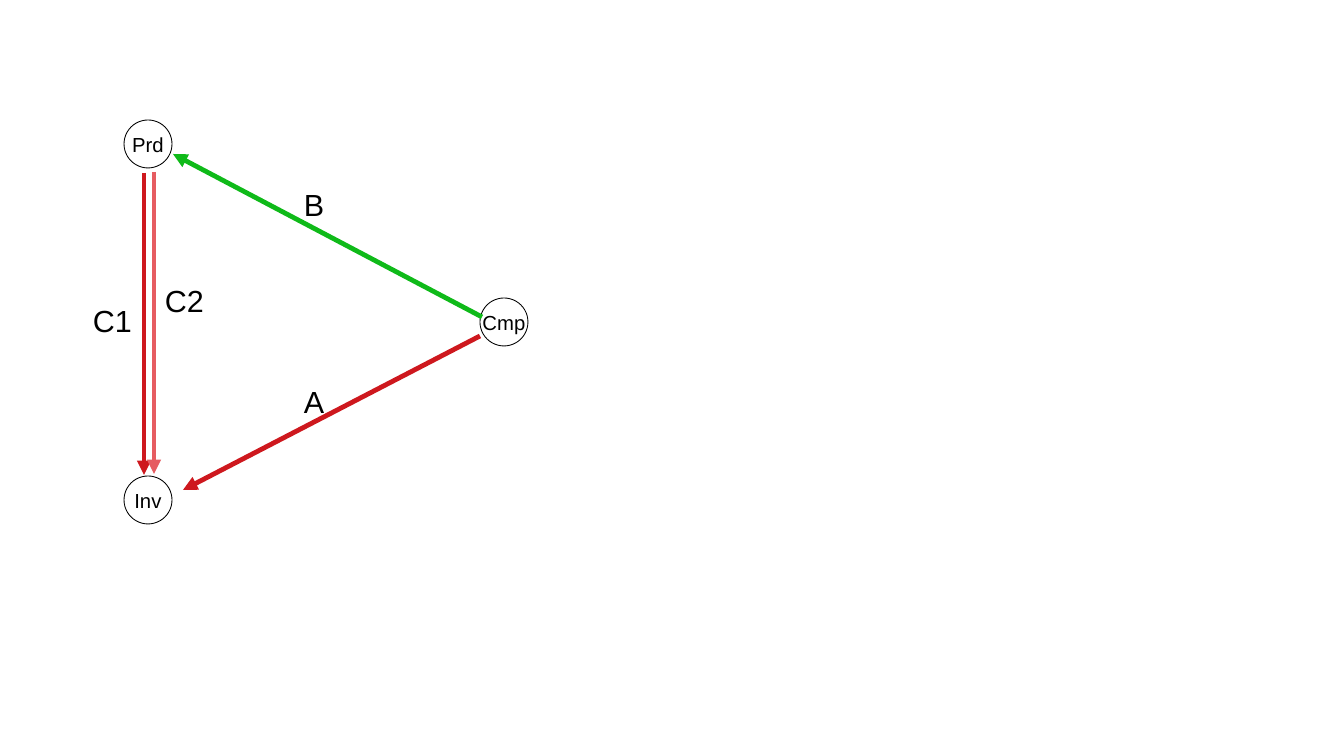
"""Builds a slide with a three-node graph of labelled arrows."""
from dataclasses import dataclass

from lxml.etree import SubElement
from pptx import Presentation
from pptx.dml.color import RGBColor
from pptx.enum.shapes import MSO_CONNECTOR, MSO_SHAPE
from pptx.enum.text import MSO_ANCHOR, MSO_AUTO_SIZE, PP_ALIGN
from pptx.oxml.ns import qn
from pptx.util import Pt

EMU_PER_PX = 914400 / 122


@dataclass(frozen=True)
class Theme:
    font: str = "Arial"
    ink: str = "000000"
    red: str = "CE181E"
    light_red: str = "E65C61"
    green: str = "0FBA19"
    node_size: int = 12
    label_size: int = 18
    outline: float = 0.5
    arrow: float = 2.83


def px(*lengths):
    return [round(length * EMU_PER_PX) for length in lengths]


class GraphSlide:
    def __init__(self, slide, theme):
        self.shapes = slide.shapes
        self.theme = theme

    def add_wording(self, frame, wording, size, align):
        frame.word_wrap = False
        paragraph = frame.paragraphs[0]
        paragraph.alignment = align
        run = paragraph.add_run()
        run.text = wording
        run.font.name = self.theme.font
        run.font.size = Pt(size)
        run.font.color.rgb = RGBColor.from_string(self.theme.ink)

    def node(self, name, left, top, diameter=48):
        circle = self.shapes.add_shape(
            MSO_SHAPE.OVAL, *px(left, top, diameter, diameter))
        circle.shadow.inherit = False
        circle.fill.background()
        circle.line.color.rgb = RGBColor.from_string(self.theme.ink)
        circle.line.width = Pt(self.theme.outline)
        circle.text_frame.vertical_anchor = MSO_ANCHOR.MIDDLE
        self.add_wording(
            circle.text_frame, name, self.theme.node_size, PP_ALIGN.CENTER)

    def arrow(self, start, end, color):
        edge = self.shapes.add_connector(
            MSO_CONNECTOR.STRAIGHT, *px(*start, *end))
        edge.line.color.rgb = RGBColor.from_string(color)
        edge.line.width = Pt(self.theme.arrow)
        properties = edge._element.spPr
        SubElement(properties.find(qn("a:ln")), qn("a:tailEnd"), type="triangle")
        SubElement(properties, qn("a:effectLst"))

    def label(self, name, left, top, width):
        caption = self.shapes.add_textbox(*px(left, top, width, 46))
        caption.text_frame.auto_size = MSO_AUTO_SIZE.SHAPE_TO_FIT_TEXT
        self.add_wording(
            caption.text_frame, name, self.theme.label_size, PP_ALIGN.LEFT)


def main():
    deck = Presentation()
    deck.slide_width, deck.slide_height = px(1344, 756)
    theme = Theme()
    graph = GraphSlide(deck.slides.add_slide(deck.slide_layouts[6]), theme)

    for name, left, top in (("Prd", 124, 120), ("Inv", 124, 476), ("Cmp", 480, 298)):
        graph.node(name, left, top)

    for start, end, color in (
        ((144, 173), (144, 475), theme.red),
        ((154, 172), (154, 474), theme.light_red),
        ((480, 336), (183, 490), theme.red),
        ((482, 317), (173, 154), theme.green),
    ):
        graph.arrow(start, end, color)

    for name, left, top, width in (
        ("A", 292, 377, 44),
        ("B", 292, 180, 44),
        ("C1", 81, 296, 63),
        ("C2", 153, 276, 63),
    ):
        graph.label(name, left, top, width)

    deck.save("out.pptx")


if __name__ == "__main__":
    main()
